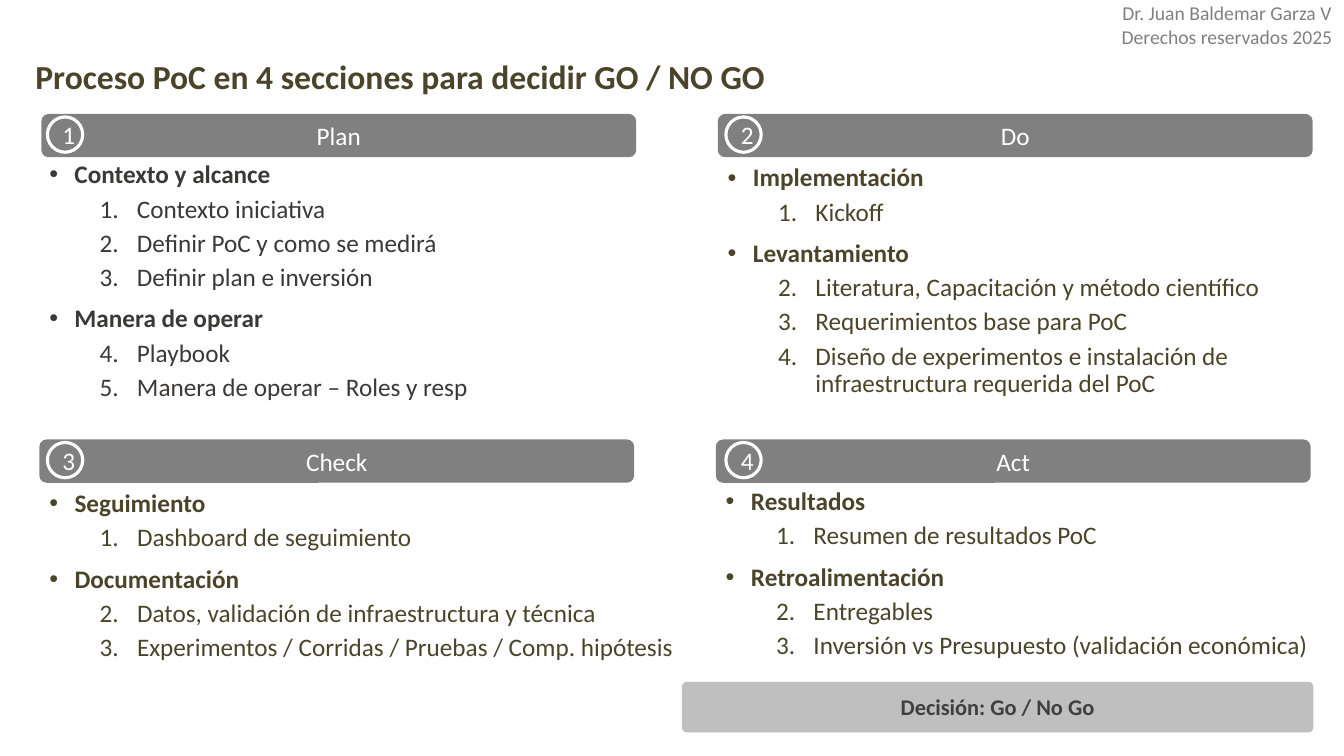
from lxml.etree import SubElement
from pptx import Presentation
from pptx.dml.color import RGBColor
from pptx.enum.shapes import MSO_SHAPE
from pptx.enum.text import MSO_ANCHOR, MSO_AUTO_SIZE, PP_ALIGN
from pptx.oxml.ns import qn
from pptx.util import Inches, Pt

OLIVE = RGBColor(0x4A, 0x45, 0x2A)
COAL = RGBColor(0x3B, 0x38, 0x38)
DARK = RGBColor(0x3F, 0x3F, 0x3F)
GRAY = RGBColor(0x80, 0x80, 0x80)
SILVER = RGBColor(0xBF, 0xBF, 0xBF)
WHITE = RGBColor(0xFF, 0xFF, 0xFF)

LEFT, RIGHT = 2.93, 53.26
TOP, LOW = 15.07, 58.13
WIDE, BAR = 44.26, 5.73

PARTS = [
    ("Plan", LEFT + 0.15, TOP, 3.53, COAL, (LEFT, 20.8, WIDE, 34.53), [
        ("Contexto y alcance", ["Contexto iniciativa", "Definir PoC y como se medirá",
                                "Definir plan e inversión"]),
        ("Manera de operar", ["Playbook", "Manera de operar – Roles y resp"])]),
    ("Do", RIGHT + 0.15, TOP, 54.01, OLIVE, (RIGHT + 0.15, 21.2, WIDE, 34.53), [
        ("Implementación", ["Kickoff"]),
        ("Levantamiento", ["Literatura, Capacitación y método científico",
                           "Requerimientos base para PoC",
                           "Diseño de experimentos e instalación de "
                           "infraestructura requerida del PoC"])]),
    ("Check", LEFT, LOW, 3.53, OLIVE, (LEFT, 64.27, 49.44, 25.73), [
        ("Seguimiento", ["Dashboard de seguimiento"]),
        ("Documentación", ["Datos, validación de infraestructura y técnica",
                           "Experimentos / Corridas / Pruebas / Comp. hipótesis"])]),
    ("Act", RIGHT, LOW, 54.01, OLIVE, (RIGHT, 64, 46.74, 31.73), [
        ("Resultados", ["Resumen de resultados PoC"]),
        ("Retroalimentación", ["Entregables",
                               "Inversión vs Presupuesto (validación económica)"])]),
]


def write(para, text, size=18, color=WHITE, bold=False, align=PP_ALIGN.CENTER):
    """Put formatted text into a paragraph."""
    para.alignment = align
    run = para.add_run()
    run.text = text
    font = run.font
    font.name, font.size, font.bold = "Calibri", Pt(size), bold
    font.color.rgb = color


def mark(para, start=None):
    """Give a paragraph a bullet, or a number when a start is given."""
    props = para._p.get_or_add_pPr()
    left, hang = (0.25, 0.25) if start is None else (0.87, 0.37)
    props.set("marL", str(Inches(left)))
    props.set("indent", str(-Inches(hang)))
    if start is None:
        SubElement(props, qn("a:buFont"), typeface="Arial")
        SubElement(props, qn("a:buChar"), char="•")
    else:
        para.level = 1
        SubElement(props, qn("a:buFont"), typeface="+mj-lt")
        SubElement(props, qn("a:buAutoNum"), type="arabicPeriod", startAt=str(start))


class Deck:
    """Hold the slide and its style, with places in percent of its size."""

    def __init__(self):
        """Start a wide deck with one title-only slide."""
        self.deck = Presentation()
        self.deck.slide_width, self.deck.slide_height = Inches(13.33), Inches(7.5)
        self.slide = self.deck.slides.add_slide(self.deck.slide_layouts[5])

    def place(self, x, y, w, h):
        """Turn percent shares into slide lengths."""
        wide, high = self.deck.slide_width, self.deck.slide_height
        return [int(n * size / 100) for n, size in ((x, wide), (y, high), (w, wide), (h, high))]

    def title(self, text, *spot):
        """Move and fill the title."""
        head = self.slide.shapes.title
        head.left, head.top, head.width, head.height = self.place(*spot)
        frame = head.text_frame
        frame.auto_size = MSO_AUTO_SIZE.NONE
        frame.vertical_anchor = MSO_ANCHOR.MIDDLE
        write(frame.paragraphs[0], text, size=24, color=OLIVE, bold=True, align=PP_ALIGN.LEFT)

    def shape(self, kind, text, *spot, fill=GRAY, line=None, **form):
        """Draw a filled shape with centred text."""
        item = self.slide.shapes.add_shape(kind, *self.place(*spot))
        item.shadow.inherit = False
        item.fill.solid()
        item.fill.fore_color.rgb = fill
        if line is None:
            item.line.fill.background()
        else:
            item.line.color.rgb, item.line.width = line, Pt(2.25)
        item.text_frame.vertical_anchor = MSO_ANCHOR.MIDDLE
        write(item.text_frame.paragraphs[0], text, **form)
        return item

    def box(self, *spot):
        """Add a wrapping text box and return its frame."""
        frame = self.slide.shapes.add_textbox(*self.place(*spot)).text_frame
        frame.word_wrap = True
        return frame

    def note(self, lines, *spot):
        """Add small gray lines without margins."""
        frame = self.box(*spot)
        frame.margin_left = frame.margin_right = frame.margin_top = frame.margin_bottom = 0
        for i, text in enumerate(lines):
            para = frame.add_paragraph() if i else frame.paragraphs[0]
            write(para, text, size=14, color=GRAY)

    def list(self, groups, color, *spot):
        """Add bold heads with items numbered across all groups."""
        frame = self.box(*spot)
        start = 1
        rows = []
        for head, items in groups:
            rows.append((head, None))
            rows += [(item, start) for item in items]
            start += len(items)
        for i, (text, num) in enumerate(rows):
            para = frame.add_paragraph() if i else frame.paragraphs[0]
            para.line_spacing = 0.9
            para.space_before = Pt(0 if i == 0 else 10 if num is None else 5)
            mark(para, num)
            write(para, text, color=color, bold=num is None, align=PP_ALIGN.LEFT)


def main():
    """Build and save the slide."""
    deck = Deck()
    deck.note(["Dr. Juan Baldemar Garza V", "Derechos reservados 2025"], 82.6, 0.13, 17.4, 6.53)
    deck.title("Proceso PoC en 4 secciones para decidir GO / NO GO", 1.88, 5.2, 93.62, 9.73)
    for num, (name, x, y, dot, color, spot, groups) in enumerate(PARTS, 1):
        deck.list(groups, color, *spot)
        deck.shape(MSO_SHAPE.ROUNDED_RECTANGLE, name, x, y, WIDE, BAR)
        deck.shape(MSO_SHAPE.FLOWCHART_CONNECTOR, str(num), dot, y + 0.4, 2.63, 4.67, line=WHITE)
    goal = deck.shape(MSO_SHAPE.ROUNDED_RECTANGLE, "Decisión: Go / No Go", 50.86, 90.4, 46.74, 6.27,
                      fill=SILVER, line=SILVER, size=16, color=DARK, bold=True)
    goal.adjustments[0] = 0.07
    deck.deck.save("out.pptx")


if __name__ == "__main__":
    main()
